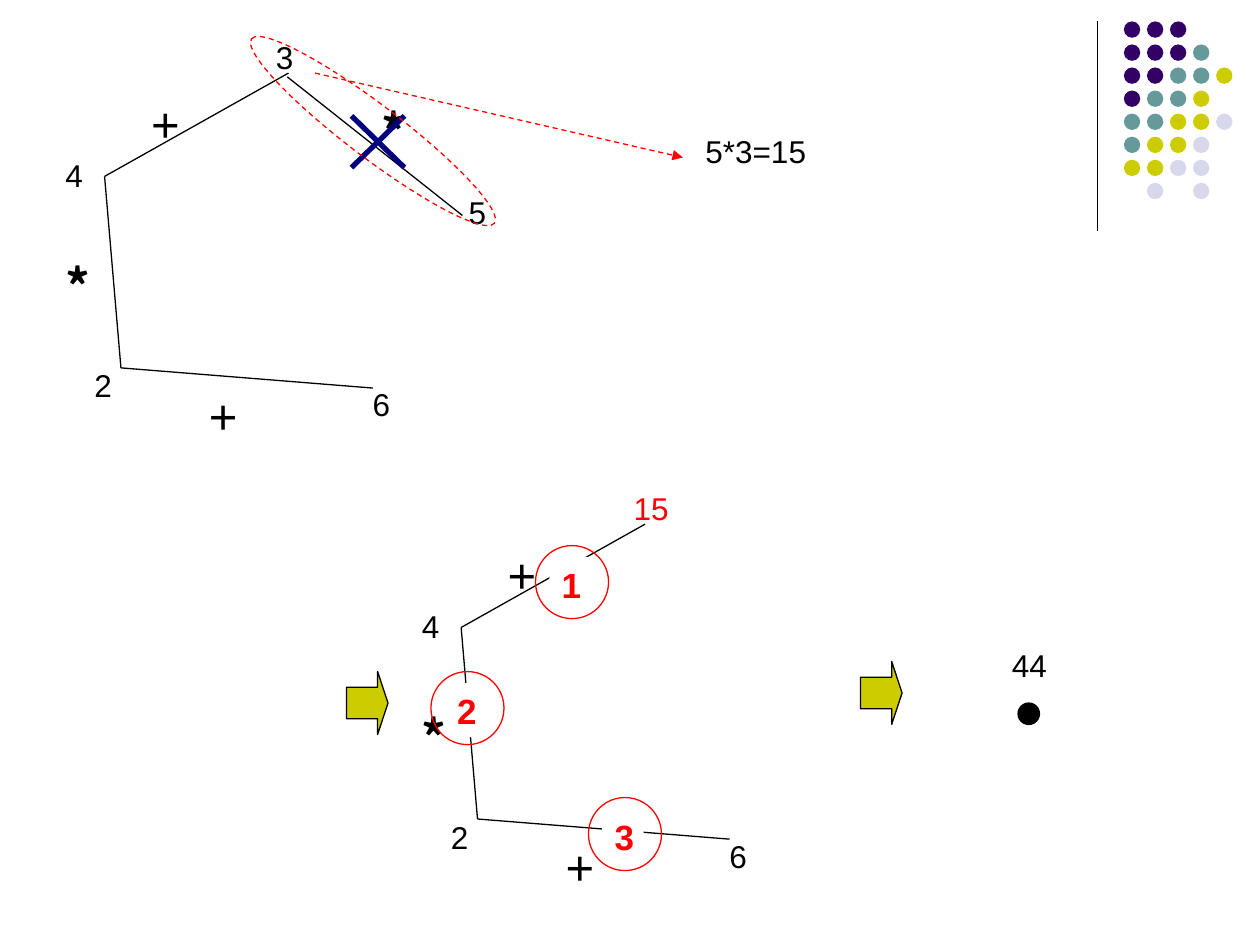
import pptx
import pptx.dml.color
import pptx.enum.dml
import pptx.enum.shapes
import pptx.enum.text
import pptx.oxml.ns
import pptx.util
from lxml import etree
from pptx.util import Inches

COLORS = {
    "black": "000000", "white": "FFFFFF", "red": "FF0000", "navy": "000080",
    "purple": "330066", "teal": "669999", "olive": "CCCC00", "lavender": "D8D8EC",
}
RGB = {name: pptx.dml.color.RGBColor.from_string(code) for name, code in COLORS.items()}
SHAPE = pptx.enum.shapes.MSO_SHAPE
DASH = pptx.enum.dml.MSO_LINE.DASH
ALIGN = pptx.enum.text.PP_ALIGN

presentation = pptx.Presentation()
presentation.slide_width, presentation.slide_height = Inches(10), Inches(7.5)
slide = presentation.slides.add_slide(presentation.slide_layouts[6])
shapes = slide.shapes


def add_text(text, left, top, width=0.38, height=0.4, size=18, font="Arial",
             color="black", bold=False, align=ALIGN.LEFT, fill=None):
    box = shapes.add_textbox(Inches(left), Inches(top), Inches(width), Inches(height))
    if fill:
        box.fill.solid()
        box.fill.fore_color.rgb = RGB[fill]
    box.text_frame.word_wrap = True
    paragraph = box.text_frame.paragraphs[0]
    paragraph.alignment = align
    run = paragraph.add_run()
    run.text = text
    run.font.name, run.font.size, run.font.bold = font, pptx.util.Pt(size), bold
    run.font.color.rgb = RGB[color]


def add_line(start, end, color="black", width=0.75, dashed_arrow=False):
    line = shapes.add_connector(
        pptx.enum.shapes.MSO_CONNECTOR.STRAIGHT, *map(Inches, (*start, *end)))
    line.line.color.rgb = RGB[color]
    line.line.width = pptx.util.Pt(width)
    if dashed_arrow:
        line.line.dash_style = DASH
        etree.SubElement(line.line._get_or_add_ln(),
                         pptx.oxml.ns.qn("a:tailEnd"), type="triangle")
    etree.SubElement(line._element.spPr, pptx.oxml.ns.qn("a:effectLst"))


# Corner decoration: one letter per dot
add_line((8.71, 0.17), (8.71, 1.83))
DOT_COLORS = {"p": "purple", "t": "teal", "o": "olive", "l": "lavender"}
DOT_ROWS = ["ppp", "pppt", "pptto", "ptto", "ttool", "tool", "ooll", " l l"]
outlines = []
for row, letters in enumerate(DOT_ROWS):
    for column, letter in enumerate(letters):
        if letter != " ":
            outlines.append((SHAPE.OVAL, 8.92 + column * 0.183, 0.17 + row * 0.183,
                             0.13, 0.13, DOT_COLORS[letter], None))

# The part of the polygon shared by both steps
OPERATORS = [("+", 1.1, 0.69), ("*", 0.42, 1.99), ("+", 1.56, 3.01)]
VERTICES = [("6", 2.86, 3.01), ("2", 0.65, 2.86), ("4", 0.42, 1.19)]
CORNERS = [(2.29, 0.58), (0.83, 1.4), (0.96, 2.92), (2.96, 3.08)]
OPERATOR_STYLES = {
    "+": dict(size=28, height=0.57),
    "*": dict(size=28, height=0.57, font="Noto Sans CJK SC", bold=True),
}
for dx, dy in [(0, 0), (2.83, 3.58)]:
    for text, left, top in OPERATORS:
        add_text(text, left + dx, top + dy, **OPERATOR_STYLES[text])
    for text, left, top in VERTICES:
        add_text(text, left + dx, top + dy)
    points = [(x + dx, y + dy) for x, y in CORNERS]
    for start, end in zip(points, points[1:]):
        add_line(start, end)

# First step: the edge that is crossed out and merged
add_text("3", 2.09, 0.25)
add_text("5", 3.62, 1.48)
add_text("*", 2.93, 0.76, **OPERATOR_STYLES["*"])
add_line((3.67, 1.71), (2.28, 0.61))
add_line((2.79, 0.92), (3.21, 1.33), color="navy", width=3)
add_line((2.79, 1.33), (3.21, 0.92), color="navy", width=3)
add_line((2.5, 0.58), (5.42, 1.25), color="red", dashed_arrow=True)
add_text("5*3=15", 5.5, 1, width=1.17)

# Second step: the merged vertex and the order of the remaining edges
add_text("15", 4.93, 3.83, width=0.57, color="red")
for number, left, top in [("1", 4.25, 4.33), ("2", 3.42, 5.33), ("3", 4.67, 6.33)]:
    outlines.append((SHAPE.OVAL, left, top, 0.58, 0.58, None, "red"))
    add_text(number, left + 0.11, top + 0.09, width=0.33, height=0.43, size=20,
             color="red", bold=True, fill="white")

# Result
add_text("44", 7.67, 5.08, width=1, align=ALIGN.CENTER)
outlines += [
    (SHAPE.OVAL, 8.08, 5.58, 0.17, 0.17, "black", "black"),
    (SHAPE.RIGHT_ARROW, 2.75, 5.33, 0.33, 0.5, "olive", "black"),
    (SHAPE.RIGHT_ARROW, 6.83, 5.25, 0.33, 0.5, "olive", "black"),
    (SHAPE.OVAL, 1.75, 0.83, 2.42, 0.42, None, "red"),
]

for kind, left, top, width, height, fill, line in outlines:
    shape = shapes.add_shape(kind, *map(Inches, (left, top, width, height)))
    shape.shadow.inherit = False
    if fill:
        shape.fill.solid()
        shape.fill.fore_color.rgb = RGB[fill]
    else:
        shape.fill.background()
    if line:
        shape.line.color.rgb = RGB[line]
        shape.line.width = pptx.util.Pt(0.75)
    else:
        shape.line.fill.background()
    if kind == SHAPE.RIGHT_ARROW:
        shape.adjustments[1] = 0.25

# The last outline rings the merged edge
merge_ring = shape
merge_ring.rotation = 37.2
merge_ring.line.dash_style = DASH

presentation.save("out.pptx")
